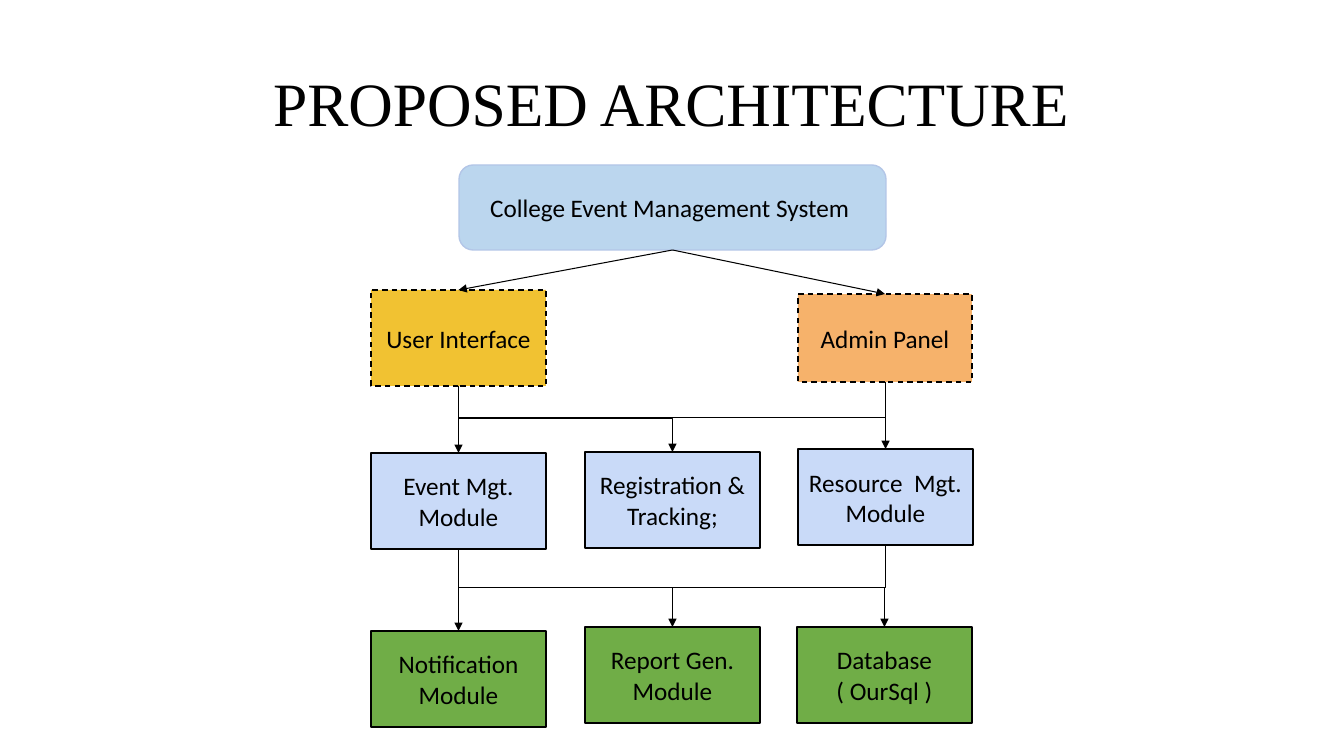
import pptx
import pptx.util
from pptx.dml.color import RGBColor
from pptx.enum.dml import MSO_LINE
from pptx.enum.shapes import MSO_CONNECTOR, MSO_SHAPE
from pptx.enum.text import MSO_ANCHOR, PP_ALIGN
from pptx.oxml import parse_xml
from pptx.oxml.ns import nsdecls

PX = 9071  # EMU in one px
BLACK = RGBColor(0x00, 0x00, 0x00)
SKY = RGBColor(0xBB, 0xD6, 0xEE)
SKY_EDGE = RGBColor(0xB3, 0xC6, 0xE7)
YELLOW = RGBColor(0xF1, 0xC2, 0x32)
ORANGE = RGBColor(0xF6, 0xB2, 0x6B)
PALE_BLUE = RGBColor(0xC9, 0xDA, 0xF8)
GREEN = RGBColor(0x70, 0xAD, 0x47)
TOP, BOTTOM = 0, 2  # connection sites of a rectangle
BOX_W, BOX_H = 175, 96


def format_text(tf, font, size):
    tf.word_wrap = True
    for p in tf.paragraphs:
        p.alignment = PP_ALIGN.CENTER
        for r in p.runs:
            r.font.name = font
            r.font.size = pptx.util.Pt(size)
            r.font.color.rgb = BLACK


def add_title(s, text, x, y, w, h):
    sp = s.shapes.title
    sp.left, sp.top, sp.width, sp.height = (v * PX for v in (x, y, w, h))
    tf = sp.text_frame
    tf.text = text
    tf.vertical_anchor = MSO_ANCHOR.TOP
    format_text(tf, "Times New Roman", 44)


def add_box(s, text, fill, x, y, w=BOX_W, h=BOX_H, kind=MSO_SHAPE.RECTANGLE,
            edge=BLACK, dash=None):
    sp = s.shapes.add_shape(kind, x * PX, y * PX, w * PX, h * PX)
    sp.shadow.inherit = False
    sp.fill.solid()
    sp.fill.fore_color.rgb = fill
    sp.line.color.rgb = edge
    sp.line.width = pptx.util.Pt(1)
    if dash:
        sp.line.dash_style = dash
    tf = sp.text_frame
    tf.text = text
    tf.vertical_anchor = MSO_ANCHOR.MIDDLE
    format_text(tf, "Calibri", 18)
    return sp


def add_arrow(s, source, target, kind):
    """Glue an arrow from the bottom of source to the top of target."""
    c = s.shapes.add_connector(kind, 0, 0, 0, 0)
    c.begin_connect(source, BOTTOM)
    c.end_connect(target, TOP)
    c.line.color.rgb = BLACK
    c.line.width = pptx.util.Pt(0.75)
    c.line._get_or_add_ln().append(
        parse_xml(f'<a:tailEnd {nsdecls("a")} type="triangle"/>'))
    c._element.spPr.append(parse_xml(f'<a:effectLst {nsdecls("a")}/>'))
    if kind == MSO_CONNECTOR.ELBOW:
        turn_upright(c)


def turn_upright(c):
    """Rotate an elbow so that it leaves and arrives vertically."""
    rightward = c.end_x > c.begin_x
    mid_x, mid_y = (c.begin_x + c.end_x) // 2, (c.begin_y + c.end_y) // 2
    w, h = c.height, c.width
    c.left, c.top, c.width, c.height = mid_x - w // 2, mid_y - h // 2, w, h
    xfrm = c._element.spPr.find(pptx.oxml.ns.qn("a:xfrm"))
    xfrm.set("rot", str((270 if rightward else 90) * 60000))
    xfrm.set("flipH", "1" if rightward else "0")
    xfrm.set("flipV", "0")


def add_architecture(s, x, y):
    """Draw the diagram with its top left corner at x, y."""
    middle, right = x + 214, x + 427
    system = add_box(s, "College Event Management System ", SKY, x + 88, y, 427, 85,
                     MSO_SHAPE.ROUNDED_RECTANGLE, SKY_EDGE)
    user = add_box(s, "User Interface", YELLOW, x, y + 125, dash=MSO_LINE.DASH)
    admin = add_box(s, "Admin Panel", ORANGE, right, y + 129, 174, 88,
                    dash=MSO_LINE.DASH)
    event = add_box(s, "Event Mgt.\nModule", PALE_BLUE, x, y + 288)
    resource = add_box(s, "Resource  Mgt.\nModule", PALE_BLUE, right, y + 284)
    tracking = add_box(s, "Registration & Tracking;", PALE_BLUE, middle, y + 287)
    notification = add_box(s, "Notification\nModule", GREEN, x, y + 466)
    report = add_box(s, "Report Gen.\nModule", GREEN, middle, y + 462)
    database = add_box(s, "Database\n( OurSql )", GREEN, right - 1, y + 462)

    for panel in (user, admin):
        add_arrow(s, system, panel, MSO_CONNECTOR.STRAIGHT)
    for source, target in ((user, resource), (admin, event), (user, tracking),
                           (event, database), (resource, notification),
                           (event, report)):
        add_arrow(s, source, target, MSO_CONNECTOR.ELBOW)


def main():
    prs = pptx.Presentation()
    prs.slide_width, prs.slide_height = 1344 * PX, 756 * PX
    s = prs.slides.add_slide(prs.slide_layouts[5])
    add_title(s, "PROPOSED ARCHITECTURE", 137, 60, 1069, 85)
    add_architecture(s, 371, 165)
    prs.save("out.pptx")


if __name__ == "__main__":
    main()
